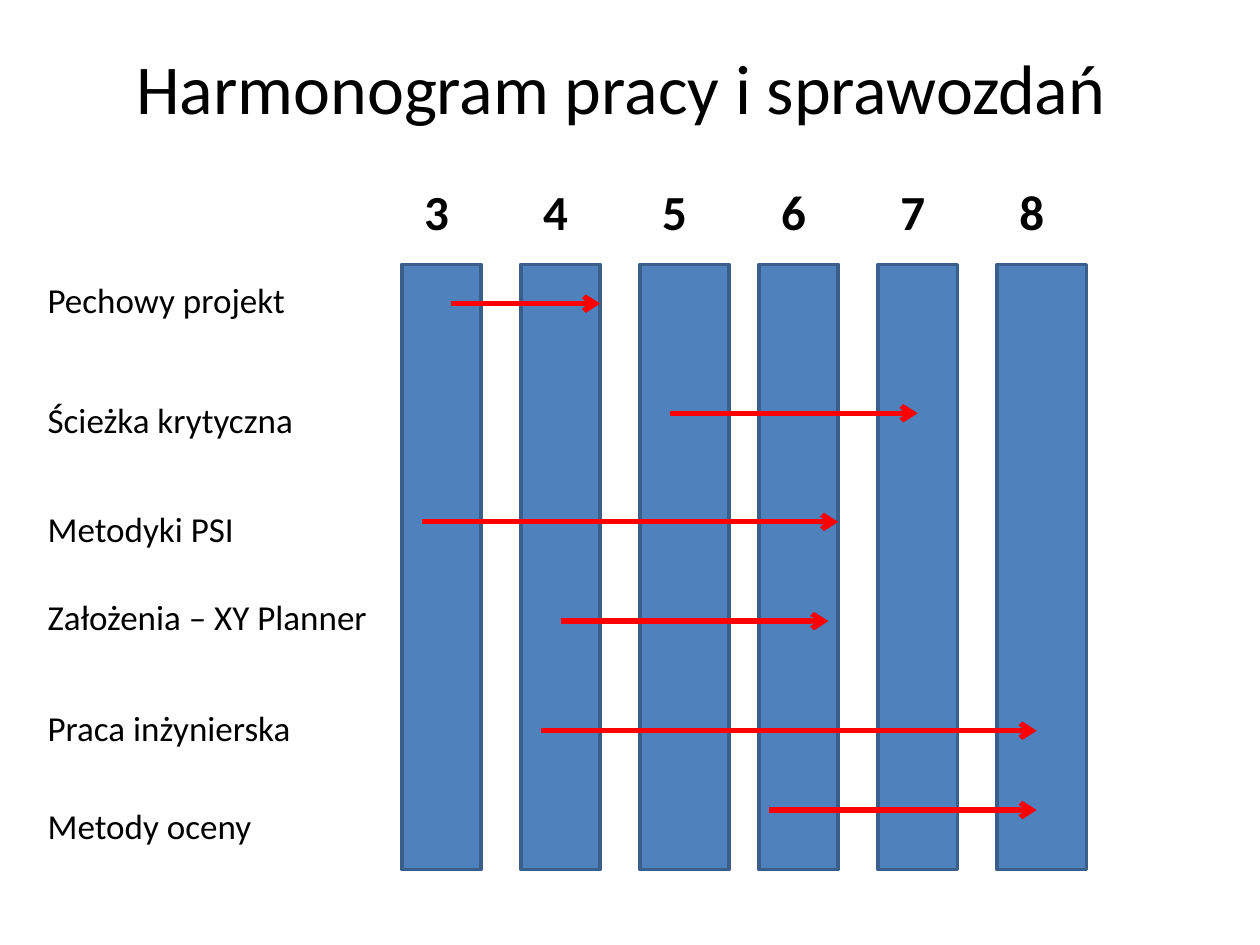
from lxml.etree import SubElement
from pptx import Presentation
from pptx.dml.color import RGBColor
from pptx.enum.shapes import MSO_CONNECTOR as CONNECTOR, MSO_SHAPE as SHAPE
from pptx.enum.text import MSO_ANCHOR as ANCHOR, MSO_AUTO_SIZE as AUTO_SIZE, PP_ALIGN as ALIGN
from pptx.oxml.ns import qn
from pptx.util import Cm, Pt

COLORS = {"text": "000000", "column": "4F81BD", "border": "3A5F8B", "arrow": "FF0000"}

TITLE = "Harmonogram pracy i sprawozdań"
TITLE_FONT = {"name": "Calibri", "size": Pt(40)}
WEEK_FONT = {"name": "Calibri", "size": Pt(28), "bold": True}
TASK_FONT = {"name": "Calibri", "size": Pt(20)}

FIRST_WEEK = 3
COLUMN_LEFT, COLUMN_TOP, COLUMN_HEIGHT = 8.1, 5.33, 12.2
COLUMN_PITCH = 2.4
COLUMN_WIDTHS = [1.6, 1.6, 1.8] * 2

# name, label top, arrow height, arrow start, arrow end
TASKS = [
    ("Pechowy projekt", 5.49, 6.12, 9.1, 12.1),
    ("Ścieżka krytyczna", 7.9, 8.33, 13.5, 18.5),
    ("Metodyki PSI", 10.11, 10.52, 8.5, 16.9),
    ("Założenia – XY Planner", 11.89, 12.52, 11.3, 16.7),
    ("Praca inżynierska", 14.12, 14.73, 10.9, 20.9),
    ("Metody oceny", 16.1, 16.33, 15.5, 20.9),
]


def color(name):
    return RGBColor.from_string(COLORS[name])


def add_text(slide, text, left, top, width, height, font):
    box = slide.shapes.add_textbox(Cm(left), Cm(top), Cm(width), Cm(height))
    frame = box.text_frame
    frame.word_wrap = True
    frame.auto_size = AUTO_SIZE.SHAPE_TO_FIT_TEXT
    paragraph = frame.paragraphs[0]
    run = paragraph.add_run()
    run.text = text
    for attribute, value in font.items():
        setattr(run.font, attribute, value)
    run.font.color.rgb = color("text")
    return frame


def add_title(slide):
    frame = add_text(slide, TITLE, 1.09, 0.76, 22.86, 1.96, TITLE_FONT)
    frame.auto_size = AUTO_SIZE.NONE
    frame.vertical_anchor = ANCHOR.MIDDLE
    for side in ("left", "top", "right", "bottom"):
        setattr(frame, f"margin_{side}", 0)
    frame.paragraphs[0].alignment = ALIGN.CENTER


def add_week(slide, index, width):
    left = COLUMN_LEFT + index * COLUMN_PITCH
    column = slide.shapes.add_shape(
        SHAPE.RECTANGLE, Cm(left), Cm(COLUMN_TOP), Cm(width), Cm(COLUMN_HEIGHT))
    column.shadow.inherit = False
    column.fill.solid()
    column.fill.fore_color.rgb = color("column")
    column.line.color.rgb = color("border")
    column.line.width = Pt(2)
    add_text(slide, str(FIRST_WEEK + index), left + 0.2, 3.53, 2, 1.42, WEEK_FONT)


def add_arrow(slide, height, start, end):
    arrow = slide.shapes.add_connector(
        CONNECTOR.STRAIGHT, Cm(start), Cm(height), Cm(end), Cm(height))
    arrow.line.color.rgb = color("arrow")
    arrow.line.width = Pt(3)
    properties = arrow.element.spPr
    SubElement(properties.find(qn("a:ln")), qn("a:tailEnd"), type="arrow")
    SubElement(properties, qn("a:effectLst"))


def main():
    presentation = Presentation()
    presentation.slide_width, presentation.slide_height = Cm(25.4), Cm(19.05)
    slide = presentation.slides.add_slide(presentation.slide_layouts[6])
    add_title(slide)
    for index, width in enumerate(COLUMN_WIDTHS):
        add_week(slide, index, width)
    for name, top, height, start, end in TASKS:
        add_text(slide, name, 0.71, top, 7.6, 1.09, TASK_FONT)
        add_arrow(slide, height, start, end)
    presentation.save("out.pptx")


if __name__ == "__main__":
    main()
